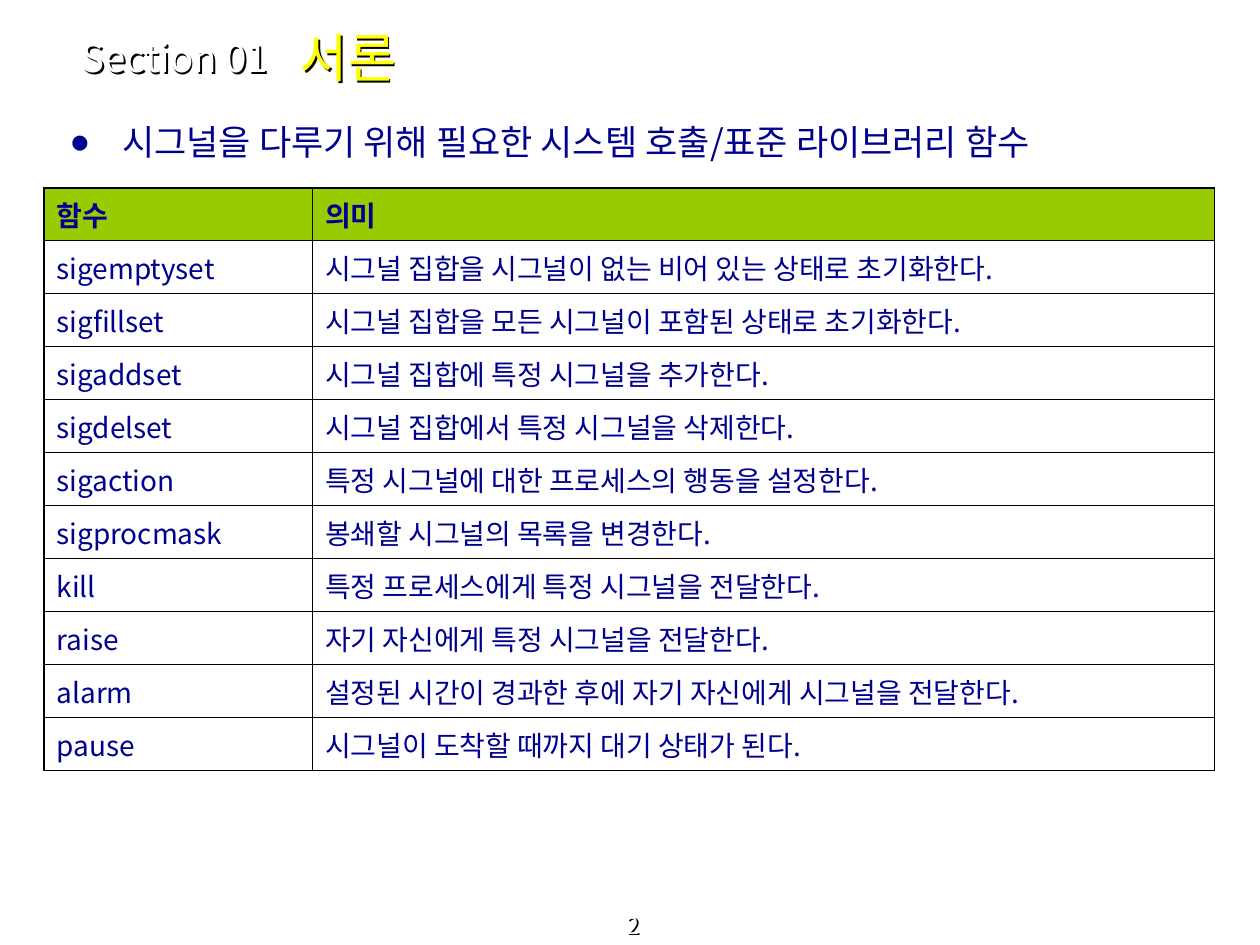
import pptx
import pptx.dml.color
import pptx.enum.text
import pptx.oxml
import pptx.oxml.ns
import pptx.util
from lxml import etree

Inches = pptx.util.Inches
Pt = pptx.util.Pt
ALIGN = pptx.enum.text.PP_ALIGN
ANCHOR = pptx.enum.text.MSO_ANCHOR
qn = pptx.oxml.ns.qn
NAMESPACE = pptx.oxml.ns.nsdecls("a")

FUNCTIONS = [
    ("함수", "의미"),
    ("sigemptyset", "시그널 집합을 시그널이 없는 비어 있는 상태로 초기화한다."),
    ("sigfillset", "시그널 집합을 모든 시그널이 포함된 상태로 초기화한다."),
    ("sigaddset", "시그널 집합에 특정 시그널을 추가한다."),
    ("sigdelset", "시그널 집합에서 특정 시그널을 삭제한다."),
    ("sigaction", "특정 시그널에 대한 프로세스의 행동을 설정한다."),
    ("sigprocmask", "봉쇄할 시그널의 목록을 변경한다."),
    ("kill", "특정 프로세스에게 특정 시그널을 전달한다."),
    ("raise", "자기 자신에게 특정 시그널을 전달한다."),
    ("alarm", "설정된 시간이 경과한 후에 자기 자신에게 시그널을 전달한다."),
    ("pause", "시그널이 도착할 때까지 대기 상태가 된다."),
]


def color(value):
    return pptx.dml.color.RGBColor.from_string(value)


def write(frame, text, size, fill, font, bold=False, align=ALIGN.LEFT,
          anchor=ANCHOR.TOP):
    frame.word_wrap = True
    frame.vertical_anchor = anchor
    paragraph = frame.paragraphs[0]
    paragraph.alignment = align
    paragraph.space_before = Pt(0)
    run = paragraph.add_run()
    run.text = text
    run.font.size = Pt(size)
    run.font.bold = bold
    run.font.color.rgb = color(fill)
    run.font.name = font
    etree.SubElement(run.font._element, qn("a:ea")).set("typeface", font)
    return paragraph


class SignalSlide:
    font = "Noto Sans CJK KR"
    navy = "00008E"
    green = "99CC00"
    white = "FFFFFF"
    yellow = "FFFF00"
    thin = 0.45
    thick = 1.08

    def __init__(self, presentation):
        self.slide = presentation.slides.add_slide(presentation.slide_layouts[1])

    def place(self, shape, left, top, width, height):
        shape.left, shape.top = Inches(left), Inches(top)
        shape.width, shape.height = Inches(width), Inches(height)
        shape.text_frame.auto_size = pptx.enum.text.MSO_AUTO_SIZE.NONE

    def text_shadow(self, shape):
        shape.fill.background()
        shape.line.fill.background()
        shape.shadow.inherit = False
        effects = shape._element.spPr.find(qn("a:effectLst"))
        effects.append(pptx.oxml.parse_xml(
            f'<a:outerShdw {NAMESPACE} dist="17780" dir="2700000" algn="tl" '
            'rotWithShape="0"><a:srgbClr val="000000"/></a:outerShdw>'))

    def title(self, text, *box):
        shape = self.slide.shapes.title
        self.place(shape, *box)
        self.text_shadow(shape)
        write(shape.text_frame, text, 30, self.yellow, self.font,
              anchor=ANCHOR.MIDDLE)

    def bullet(self, text, *box):
        shape = self.slide.placeholders[1]
        self.place(shape, *box)
        paragraph = write(shape.text_frame, text, 20, self.navy, self.font)
        properties = paragraph._p.get_or_add_pPr()
        properties.set("marL", str(Inches(0.54)))
        properties.set("indent", str(Inches(-0.42)))
        for element in (
            f'<a:buClr {NAMESPACE}><a:srgbClr val="{self.navy}"/></a:buClr>',
            f'<a:buFont {NAMESPACE} typeface="Arial"/>',
            f'<a:buChar {NAMESPACE} char="●"/>',
        ):
            properties.append(pptx.oxml.parse_xml(element))

    def label(self, text, size, *box, **text_format):
        shape = self.slide.shapes.add_textbox(*map(Inches, box))
        self.place(shape, *box)
        self.text_shadow(shape)
        write(shape.text_frame, text, size, self.white, self.font, **text_format)

    def borders(self, cell, outer_sides):
        properties = cell._tc.get_or_add_tcPr()
        for side in "LRTB":
            width = Pt(self.thick if side in outer_sides else self.thin)
            properties.append(pptx.oxml.parse_xml(
                f'<a:ln{side} {NAMESPACE} w="{width}"><a:solidFill>'
                f'<a:srgbClr val="000000"/></a:solidFill></a:ln{side}>'))

    def table(self, rows, left, top, widths, row_height):
        shape = self.slide.shapes.add_table(
            len(rows), len(widths), Inches(left), Inches(top),
            Inches(sum(widths)), Inches(row_height * len(rows)))
        table = shape.table
        table.horz_banding = False
        for column, width in zip(table.columns, widths):
            column.width = Inches(width)
        for row_index, row in enumerate(rows):
            header = row_index == 0
            for column_index, text in enumerate(row):
                cell = table.cell(row_index, column_index)
                write(cell.text_frame, text, 16, self.navy, self.font, bold=header)
                outer_sides = "L" if column_index == 0 else "R"
                if header:
                    outer_sides += "T"
                if row_index == len(rows) - 1:
                    outer_sides += "B"
                self.borders(cell, outer_sides)
                if header:
                    cell.fill.solid()
                    cell.fill.fore_color.rgb = color(self.green)
                else:
                    cell.fill.background()


def main():
    presentation = pptx.Presentation()
    presentation.slide_width = Inches(10)
    presentation.slide_height = Inches(7.5)
    slide = SignalSlide(presentation)
    slide.label("2", 13, 0, 7.28, 10.05, 0.22, align=ALIGN.CENTER, anchor=ANCHOR.BOTTOM)
    slide.label("Section 01", 22, 0.55, 0.27, 1.93, 0.37, anchor=ANCHOR.MIDDLE)
    slide.title("서론", 2.28, 0.11, 6.49, 0.68)
    slide.bullet("시그널을 다루기 위해 필요한 시스템 호출/표준 라이브러리 함수",
                 0.33, 0.91, 9.33, 0.47)
    slide.table(FUNCTIONS, 0.35, 1.49, (2.13, 7.16), 0.42)
    presentation.save("out.pptx")


if __name__ == "__main__":
    main()
